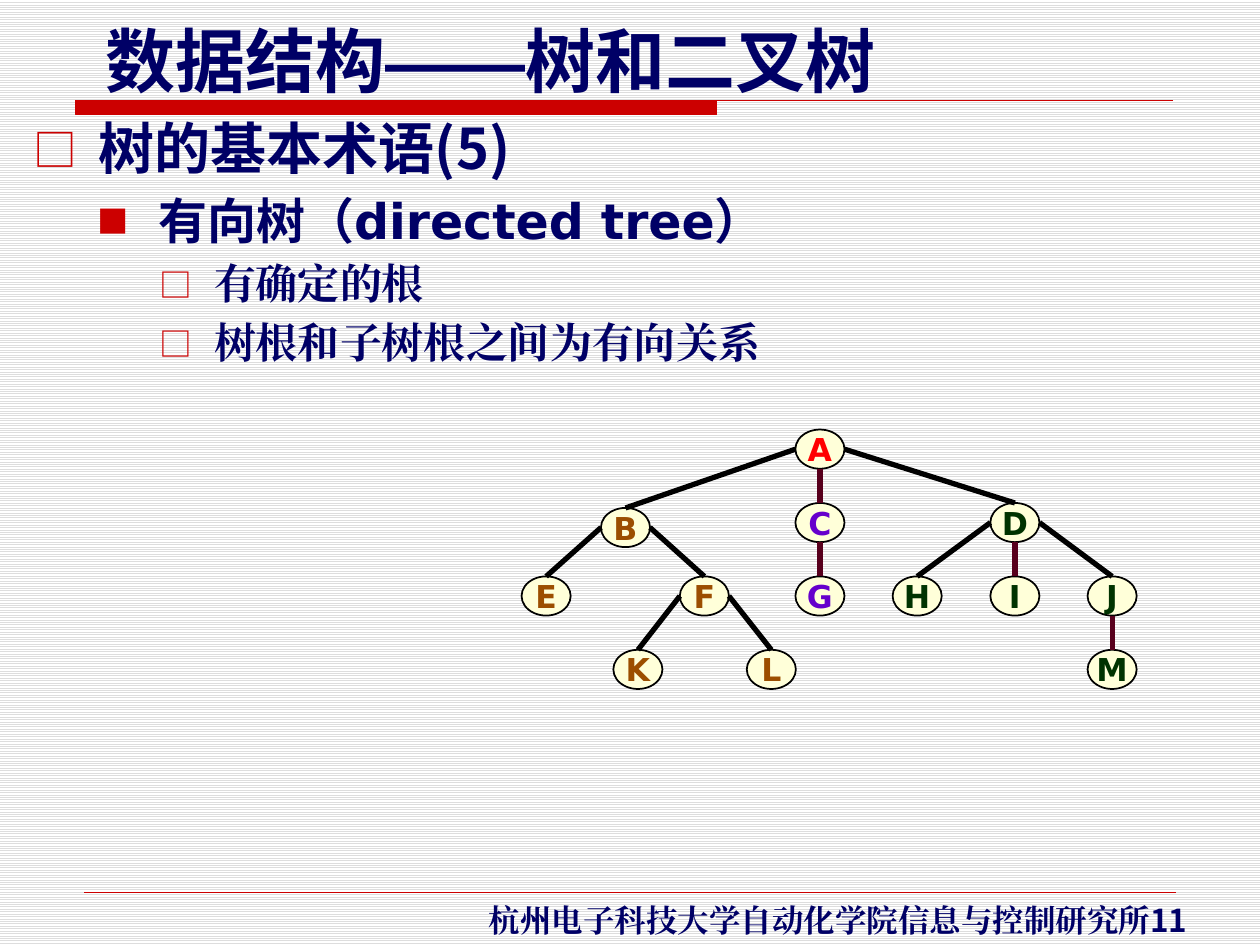
from dataclasses import dataclass
from lxml import etree
from pptx import Presentation
from pptx import util as u
from pptx.dml.color import RGBColor
from pptx.enum import dml, shapes, text
from pptx.oxml import ns

Cm, Pt = u.Cm, u.Pt


@dataclass(frozen=True)
class Theme:
    sans: str = "DejaVu Sans"
    serif: str = "Times New Roman"
    dash: str = "Arial"
    cjk: str = "Noto Sans CJK SC"
    ink: str = "000066"
    accent: str = "CC0000"
    stripe: str = "DDDDDD"
    paper: str = "FFFFFF"
    node: str = "FFFFD9"
    black: str = "000000"
    stem: str = "58001D"
    root: str = "FF0000"
    left: str = "9C4E00"
    middle: str = "6600CC"
    right: str = "003300"
    title_size: int = 40
    level_sizes: tuple = (32, 28, 24)
    small_size: int = 18


T = Theme()

TITLE = [("数据结构", T.sans), ("——", T.dash), ("树和二叉树", T.sans)]
FOOTER = [("杭州电子科技大学自动化学院信息与控制研究所", T.serif), ("11", T.cjk)]
OUTLINE = [
    (0, [("树的基本术语", T.sans), ("(5)", T.cjk)]),
    (1, [("有向树（directed tree）", T.sans)]),
    (2, [("有确定的根", T.serif)]),
    (2, [("树根和子树根之间为有向关系", T.serif)]),
]
LEVELS = [("□", 78, 1.3, 1.3), ("■", 64, 2.51, 1.22), ("□", 78, 3.63, 1.09)]

TREE = [
    ("A", None, 16.53, 0, T.root),
    ("B", "A", 12.61, 1, T.left),
    ("C", "A", 16.53, 1, T.middle),
    ("D", "A", 20.46, 1, T.right),
    ("E", "B", 11.01, 2, T.left),
    ("F", "B", 14.2, 2, T.left),
    ("G", "C", 16.53, 2, T.middle),
    ("H", "D", 18.49, 2, T.right),
    ("I", "D", 20.46, 2, T.right),
    ("J", "D", 22.42, 2, T.right),
    ("M", "J", 22.42, 3, T.right),
    ("K", "F", 12.86, 3, T.left),
    ("L", "F", 15.55, 3, T.left),
]
TREE_TOP, ROW_GAP = 8.66, 1.48
NODE_W, NODE_H = 0.99, 0.79
LOWERED = {"B": 0.1}


def rgb(code):
    return RGBColor.from_string(code)


def add_runs(paragraph, pieces, size, color=T.ink):
    for words, face in pieces:
        run = paragraph.add_run()
        run.text = words
        run.font.name, run.font.size, run.font.bold = face, Pt(size), True
        run.font.color.rgb = rgb(color)
        etree.SubElement(run.font._element, ns.qn("a:ea"), typeface=face)


def add_bullet(paragraph, mark, percent, indent, hanging):
    props = paragraph._p.get_or_add_pPr()
    props.set("marL", str(Cm(indent)))
    props.set("indent", str(-Cm(hanging)))
    tint = etree.SubElement(props, ns.qn("a:buClr"))
    etree.SubElement(tint, ns.qn("a:srgbClr"), val=T.accent)
    etree.SubElement(props, ns.qn("a:buSzPct"), val=str(percent * 1000))
    etree.SubElement(props, ns.qn("a:buFont"), typeface=T.cjk)
    etree.SubElement(props, ns.qn("a:buChar"), char=mark)


def place(part, left, top, width, height):
    part.left, part.top, part.width, part.height = map(Cm, (left, top, width, height))


def add_line(slide, start, end, color, width):
    line = slide.shapes.add_connector(
        shapes.MSO_CONNECTOR.STRAIGHT, *map(Cm, (*start, *end)))
    line.line.color.rgb, line.line.width = rgb(color), Pt(width)
    etree.SubElement(line._element.spPr, ns.qn("a:effectLst"))


def paint(part, fill, line, width):
    part.shadow.inherit = False
    part.fill.solid()
    part.fill.fore_color.rgb = rgb(fill)
    part.line.color.rgb, part.line.width = rgb(line), Pt(width)


def add_frame(slide):
    backdrop = slide.background.fill
    backdrop.patterned()
    backdrop.pattern = dml.MSO_PATTERN.LIGHT_HORIZONTAL
    backdrop.fore_color.rgb, backdrop.back_color.rgb = rgb(T.stripe), rgb(T.paper)

    left, top, bar_right, bar_bottom, rule_right = map(Cm, (1.53, 2.03, 14.45, 2.31, 23.65))
    outline = slide.shapes.build_freeform(left, top)
    outline.add_line_segments(
        [(bar_right, top), (bar_right, bar_bottom), (left, bar_bottom)], close=True)
    outline.move_to(left, top)
    outline.add_line_segments([(rule_right, top)], close=False)
    paint(outline.convert_to_shape(), T.accent, T.accent, 0.75)
    add_line(slide, (1.7, 17.98), (23.7, 17.98), T.accent, 0.25)

    footer = slide.shapes.add_textbox(*map(Cm, (9.6, 18.03, 15.52, 1.02))).text_frame
    footer.word_wrap = True
    add_runs(footer.paragraphs[0], FOOTER, T.small_size)


def fill_placeholders(slide):
    title, body = slide.placeholders
    place(title, 1.88, 0.23, 16.08, 1.96)
    place(body, 0.43, 2.29, 23.27, 15.27)
    for part in (title, body):
        part.text_frame.auto_size = text.MSO_AUTO_SIZE.NONE
        part.text_frame.vertical_anchor = text.MSO_ANCHOR.TOP
        part.text_frame.word_wrap = True

    heading = title.text_frame.paragraphs[0]
    heading.alignment = text.PP_ALIGN.LEFT
    add_runs(heading, TITLE, T.title_size)

    frame = body.text_frame
    frame.margin_top = 0
    for index, (level, pieces) in enumerate(OUTLINE):
        paragraph = frame.add_paragraph() if index else frame.paragraphs[0]
        size = T.level_sizes[level]
        paragraph.level = level
        paragraph.space_before = Pt(round(size * 0.2, 1) if index else 0)
        add_bullet(paragraph, *LEVELS[level])
        add_runs(paragraph, pieces, size)


def add_tree(slide):
    tops = {}
    for name, _, center, row, color in TREE:
        tops[name] = center, TREE_TOP + row * ROW_GAP + LOWERED.get(name, 0)
        node = slide.shapes.add_shape(
            shapes.MSO_SHAPE.OVAL, *map(Cm, (center - NODE_W / 2, tops[name][1], NODE_W, NODE_H)))
        paint(node, T.node, T.black, 1)
        frame = node.text_frame
        frame.word_wrap = False
        frame.vertical_anchor = text.MSO_ANCHOR.MIDDLE
        frame.paragraphs[0].alignment = text.PP_ALIGN.CENTER
        add_runs(frame.paragraphs[0], [(name, T.sans)], T.small_size, color)

    for name, parent, *_ in TREE:
        if parent is None:
            continue
        x, y = tops[name]
        parent_x, parent_y = tops[parent]
        if x == parent_x:
            add_line(slide, (x, parent_y + NODE_H), (x, y), T.stem, 3)
        else:
            side = NODE_W / 2 if x > parent_x else -NODE_W / 2
            add_line(slide, (parent_x + side, parent_y + NODE_H / 2), (x, y), T.black, 3)


def main():
    deck = Presentation()
    deck.slide_width, deck.slide_height = Cm(25.4), Cm(19.05)
    slide = deck.slides.add_slide(deck.slide_layouts[1])
    add_frame(slide)
    fill_placeholders(slide)
    add_tree(slide)
    deck.save("out.pptx")


if __name__ == "__main__":
    main()
